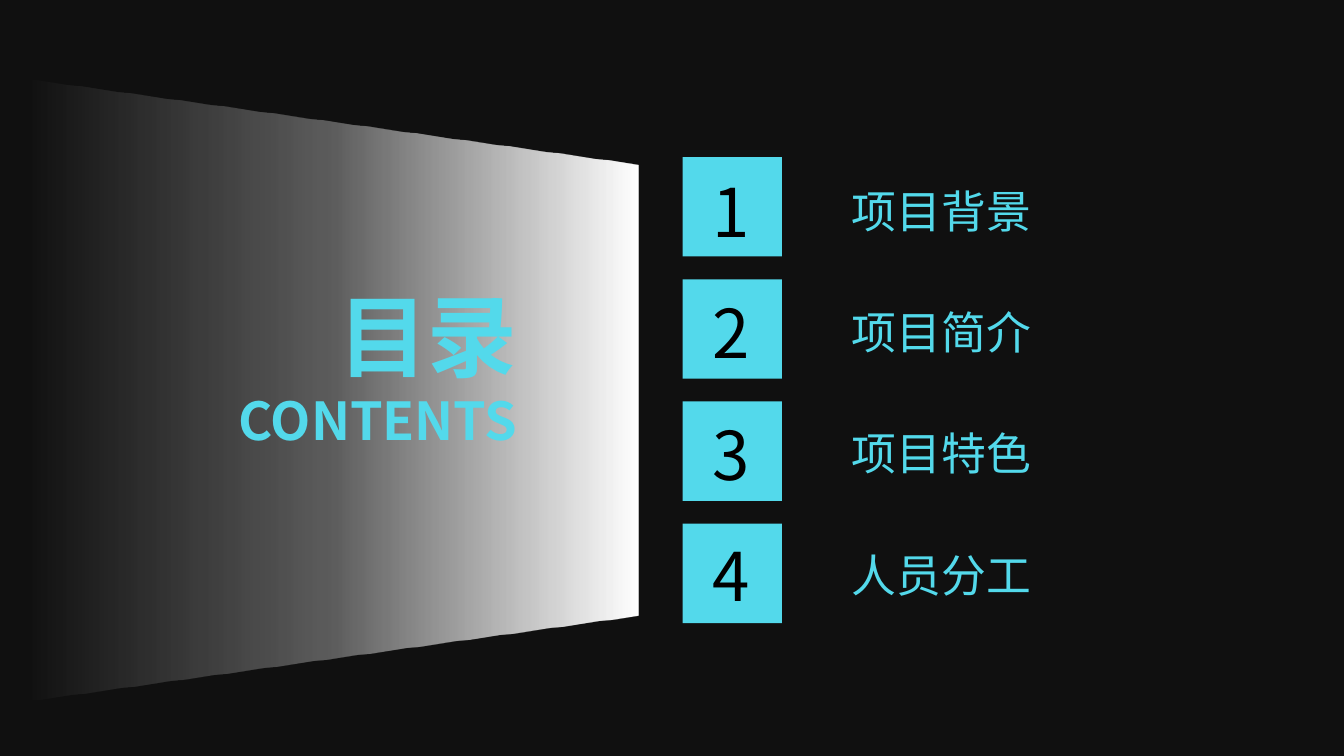
import lxml.etree
import pptx
import pptx.util
import pptx.dml.color
import pptx.enum.shapes
import pptx.enum.text
import pptx.oxml
import pptx.oxml.ns

Cm, Pt = pptx.util.Cm, pptx.util.Pt
RGB = pptx.dml.color.RGBColor.from_string
qn = pptx.oxml.ns.qn
Kind = pptx.enum.shapes.MSO_SHAPE
Align = pptx.enum.text.PP_ALIGN

COLORS = {"back": "101010", "cyan": "53D9EB", "ink": "000000", "beam": "FFFFFF"}
HAN = "Noto Sans CJK SC"
DIGIT = "Noto Sans CJK JP"
TOPICS = ["项目背景", "项目简介", "项目特色", "人员分工"]


def add_text(slide, box, lines, font, color, bold=None, align=None):
    """Add one paragraph for each (text, size) pair in lines."""
    frame = slide.shapes.add_textbox(*map(Cm, box)).text_frame
    frame.word_wrap = False
    frame.auto_size = pptx.enum.text.MSO_AUTO_SIZE.SHAPE_TO_FIT_TEXT
    for i, (text, size) in enumerate(lines):
        para = frame.add_paragraph() if i else frame.paragraphs[0]
        para.text = text
        para.alignment = align
        para.font.size = Pt(size)
        para.font.bold = bold
        para.font.color.rgb = RGB(COLORS[color])
        para.font.name = font
        props = para._p.pPr.find(qn("a:defRPr"))
        latin = props.find(qn("a:latin"))
        east = lxml.etree.Element(qn("a:ea"), typeface=font)
        latin.addnext(east)


def add_beam(slide, box):
    """Add the trapezoid of light, white at right and clear at left."""
    beam = slide.shapes.add_shape(Kind.TRAPEZOID, *map(Cm, box))
    beam.shadow.inherit = False
    beam.line.fill.background()
    beam.adjustments[0] = 0.14
    beam.rotation = 270
    props = beam._element.spPr
    props.find(qn("a:xfrm")).set("flipV", "1")
    stops = "".join(
        f'<a:gs pos="{pos * 1000}"><a:srgbClr val="{COLORS["beam"]}">'
        f'<a:alpha val="{alpha * 1000}"/></a:srgbClr></a:gs>'
        for pos, alpha in [(0, 100), (50, 32), (100, 0)])
    fill = pptx.oxml.parse_xml(
        f'<a:gradFill {pptx.oxml.ns.nsdecls("a")} rotWithShape="1">'
        f'<a:gsLst>{stops}</a:gsLst><a:lin ang="5400000" scaled="0"/></a:gradFill>')
    props.find(qn("a:prstGeom")).addnext(fill)


def add_title(slide, box):
    lines = [("目录", 48), ("CONTENTS", 28)]
    add_text(slide, box, lines, HAN, "cyan", True, Align.RIGHT)


def add_topics(slide, left, top):
    """Add the numbered squares and their labels, from the given corner."""
    side, step, pitch = 1.88, 2.31, 2.29
    for i, topic in enumerate(TOPICS):
        tile = slide.shapes.add_shape(
            Kind.RECTANGLE, Cm(left), Cm(top + i * step), Cm(side), Cm(side))
        tile.shadow.inherit = False
        tile.fill.solid()
        tile.fill.fore_color.rgb = RGB(COLORS["cyan"])
        tile.line.fill.background()
        row = top + i * pitch
        add_text(slide, (left + 0.31, row + 0.13, 1.22, 1.8),
                 [(str(i + 1), 36)], DIGIT, "ink")
        add_text(slide, (left + 2.95, row + 0.38, 3.89, 1.27),
                 [(topic, 24)], HAN, "cyan")


def main():
    deck = pptx.Presentation()
    deck.slide_width, deck.slide_height = Cm(25.4), Cm(14.29)
    slide = deck.slides.add_slide(deck.slide_layouts[6])
    slide.background.fill.solid()
    slide.background.fill.fore_color.rgb = RGB(COLORS["back"])
    add_beam(slide, (0.46, 1.63, 11.73, 11.48))
    add_title(slide, (4.09, 5.18, 5.94, 3.51))
    add_topics(slide, 12.9, 2.97)
    deck.save("out.pptx")


if __name__ == "__main__":
    main()
